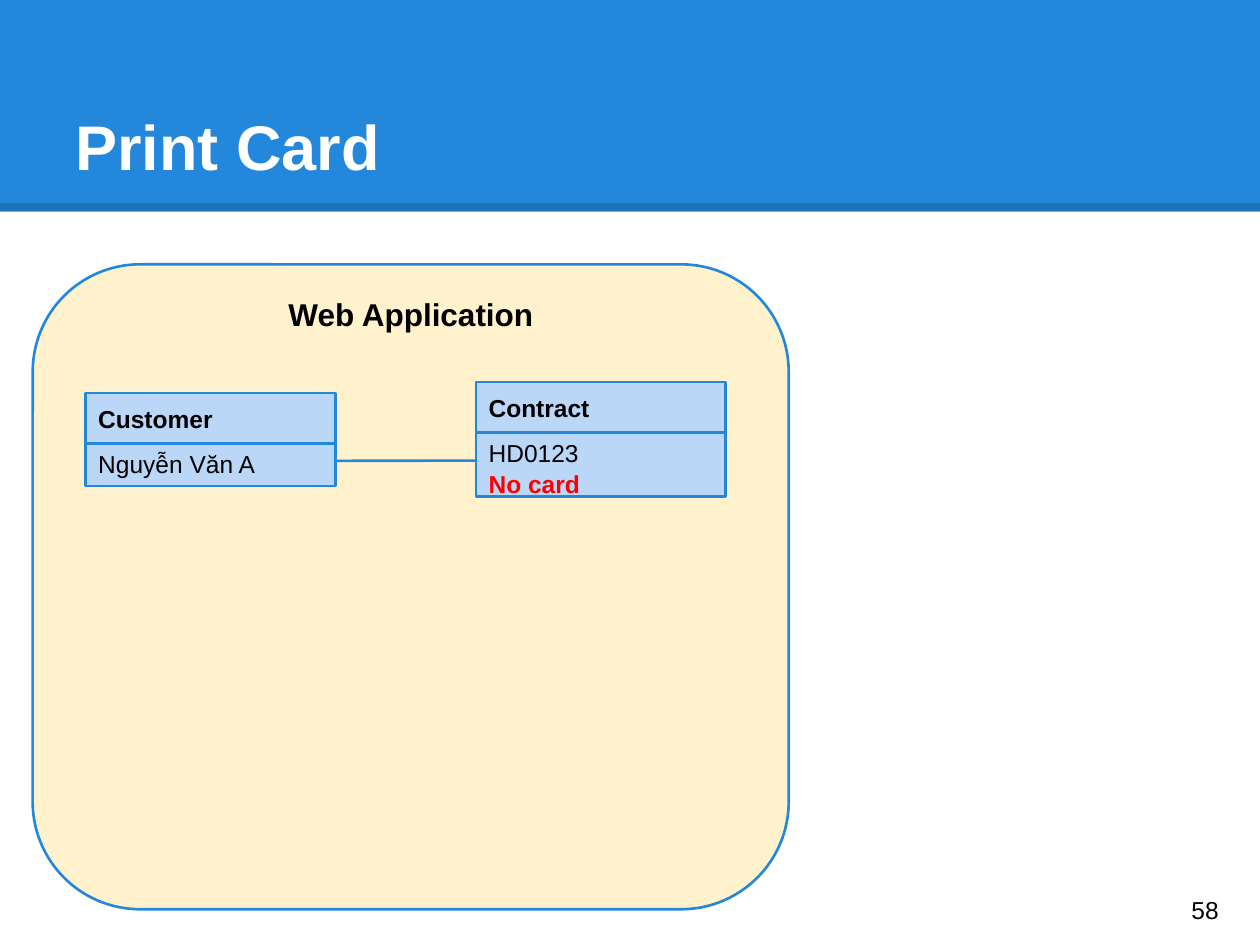
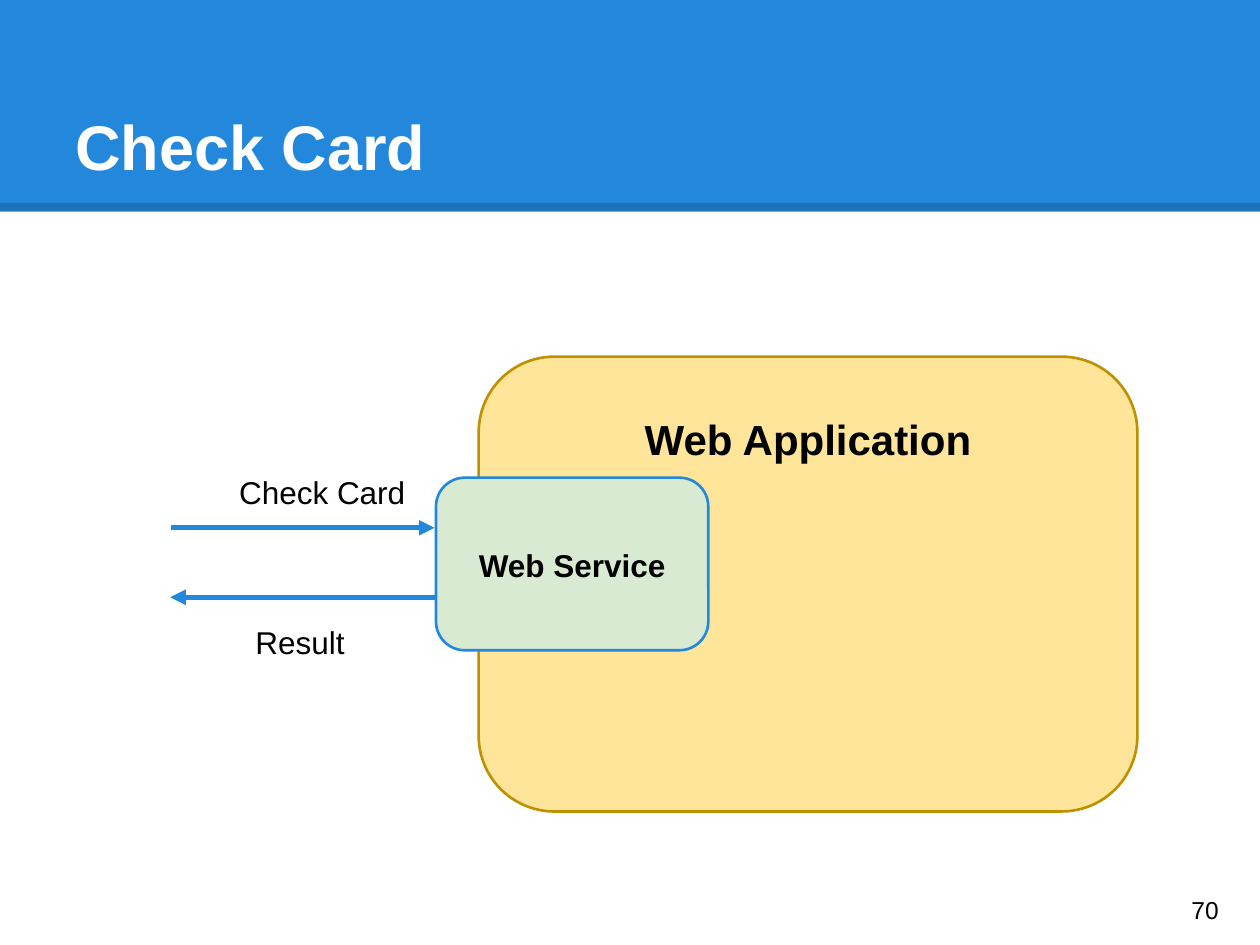
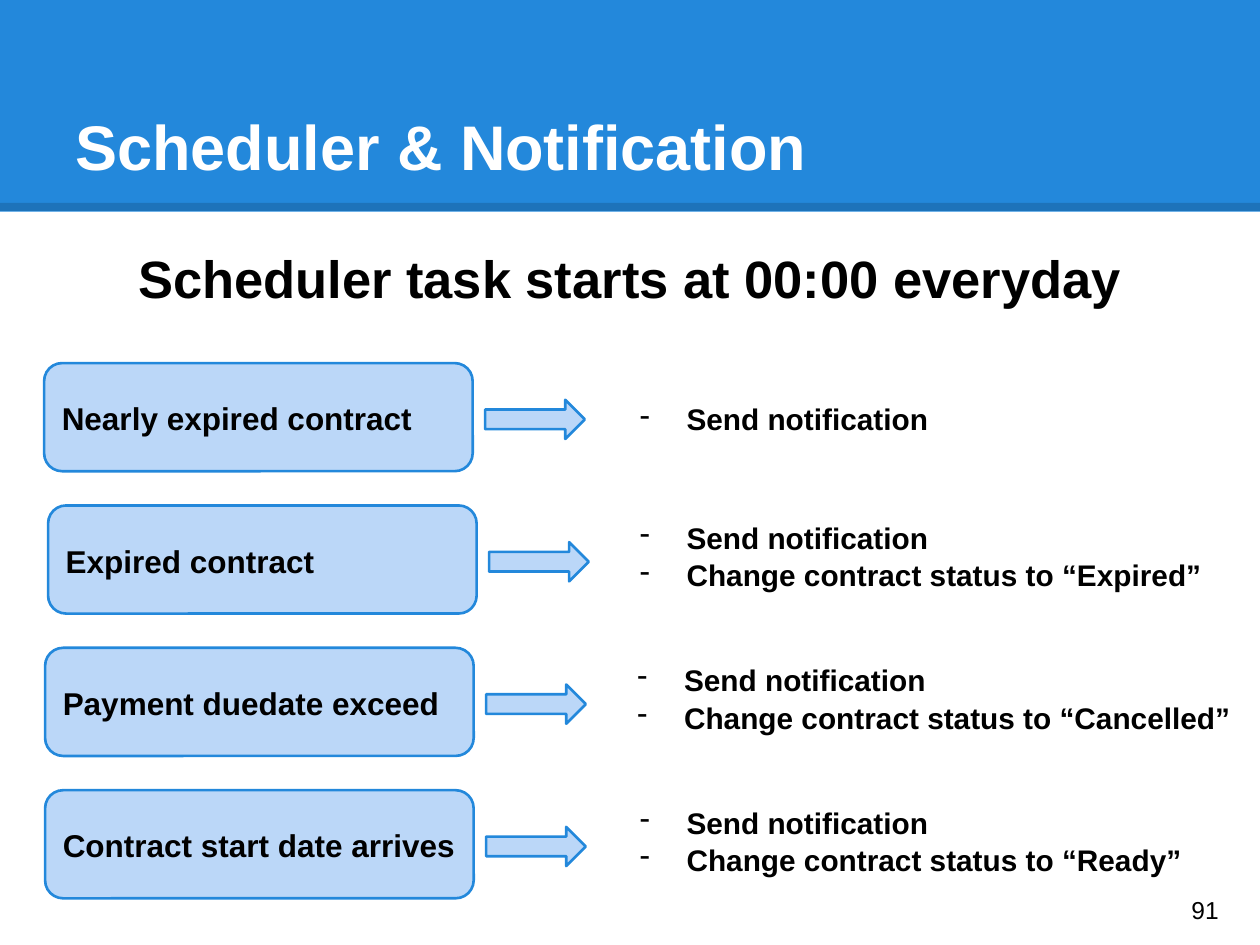
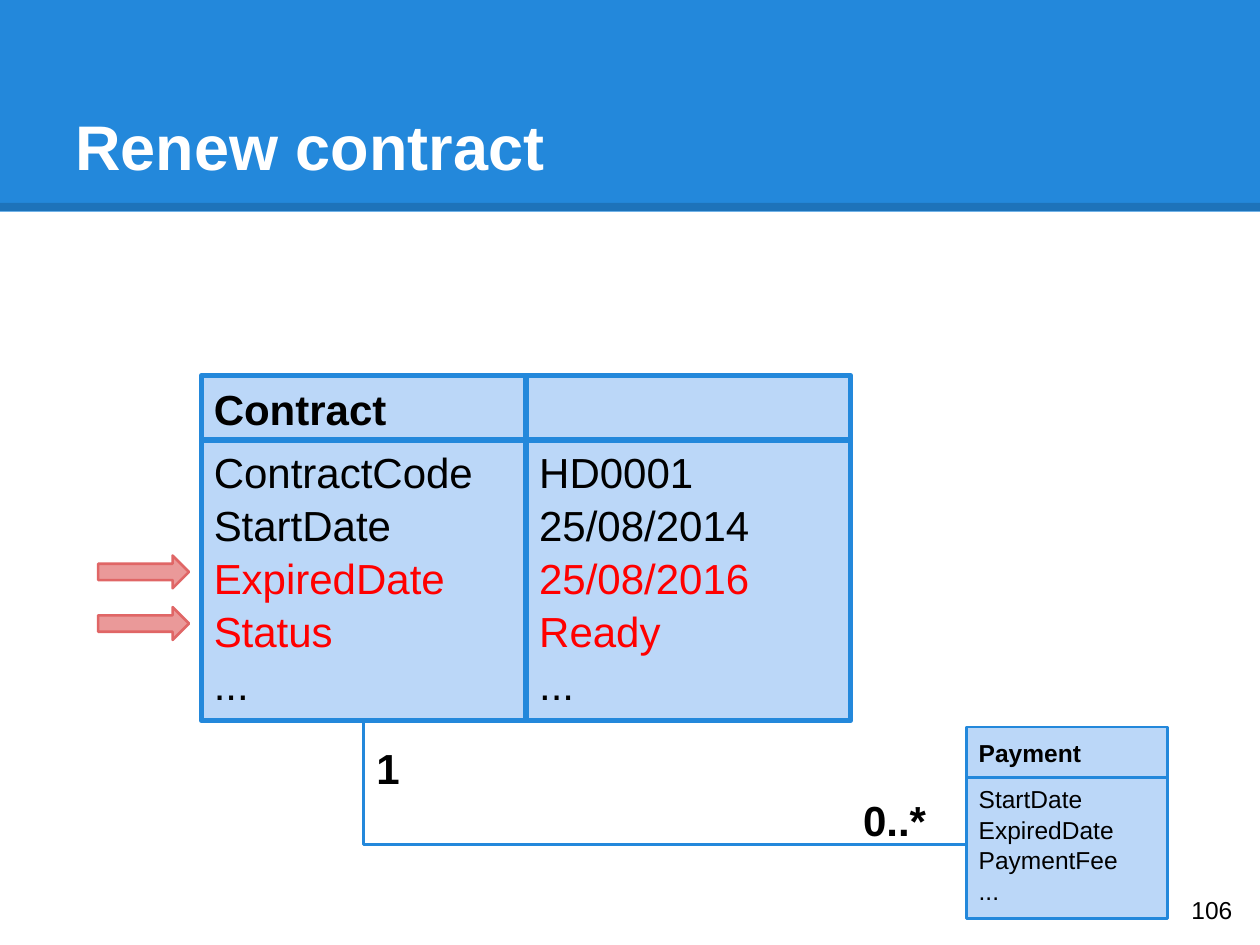
from lxml import etree
from pptx import Presentation
from pptx.dml.color import RGBColor
from pptx.enum.shapes import MSO_CONNECTOR, MSO_SHAPE
from pptx.enum.text import MSO_ANCHOR, MSO_AUTO_SIZE, PP_ALIGN
from pptx.oxml.ns import qn
from pptx.util import Cm, Pt

RECTANGLE, ROUNDED = MSO_SHAPE.RECTANGLE, MSO_SHAPE.ROUNDED_RECTANGLE
RIGHT_ARROW = MSO_SHAPE.RIGHT_ARROW
STRAIGHT, ELBOW = MSO_CONNECTOR.STRAIGHT, MSO_CONNECTOR.ELBOW
TOP, MIDDLE, BOTTOM = MSO_ANCHOR.TOP, MSO_ANCHOR.MIDDLE, MSO_ANCHOR.BOTTOM
LEFT, CENTER = PP_ALIGN.LEFT, PP_ALIGN.CENTER
NO_AUTOFIT = MSO_AUTO_SIZE.NONE
BOTTOM_SIDE, LEFT_SIDE, RIGHT_SIDE = 2, 1, 3

FONT = "Arial"
BLUE, PALE_BLUE = "2388DB", "BBD7F8"
BLACK, WHITE, RED = "000000", "FFFFFF", "FF0000"
CREAM, YELLOW, GOLD = "FFF2CC", "FFE599", "BF9000"
GREEN, PINK, ROSE = "D9EAD3", "EA9999", "E06666"


def color(value):
    return RGBColor.from_string(value)


class Deck:
    """Holds the shared style and the slide being built."""

    def __init__(self):
        self.presentation = Presentation()
        self.presentation.slide_width = Cm(25.4)
        self.presentation.slide_height = Cm(19.05)
        self.slide = None

    def start_slide(self, title, number):
        first = self.slide is None
        layout = self.presentation.slide_layouts[5]
        self.slide = self.presentation.slides.add_slide(layout)
        if first:
            self.add_master_band()
        shape = self.slide.shapes.title
        shape.left, shape.top = Cm(1.27), Cm(0.76)
        shape.width, shape.height = Cm(22.86), Cm(3.18)
        self.set_text(shape, [title], 36, True, WHITE, anchor=BOTTOM)
        self.label(23.77, 17.6, 1.52, 1.45, [str(number)], 14, anchor=MIDDLE)

    def add_master_band(self):
        band = self.shape(RECTANGLE, 0, 0, 25.4, 4.27, BLUE, None)
        edge = self.line(0, 4.17, 25.4, 4.17, 4.5, BLACK)
        edge_color = next(edge.element.iter(qn("a:srgbClr")))
        etree.SubElement(edge_color, qn("a:alpha"), val="15000")
        tree = self.presentation.slide_master.shapes.element
        tree.insert(2, band.element)
        tree.insert(3, edge.element)

    def set_text(self, shape, lines, size, bold=False, text_color=BLACK,
                 align=LEFT, anchor=TOP, bullet=None, inset_top=0.25):
        frame = shape.text_frame
        frame.text = "\n".join(lines)
        frame.word_wrap = True
        frame.auto_size = NO_AUTOFIT
        frame.vertical_anchor = anchor
        frame.margin_left = frame.margin_right = frame.margin_bottom = Cm(0.25)
        frame.margin_top = Cm(inset_top)
        for paragraph in frame.paragraphs:
            if bullet:
                properties = paragraph._p.get_or_add_pPr()
                properties.set("marL", str(Cm(1.27)))
                properties.set("indent", str(Cm(-0.94)))
                etree.SubElement(properties, qn("a:buChar"), char=bullet)
            paragraph.alignment = align
            paragraph.line_spacing = 1.05
            for run in paragraph.runs:
                run.font.name = FONT
                run.font.size = Pt(size)
                run.font.bold = bold
                run.font.color.rgb = color(text_color)

    def label(self, left, top, width, height, lines, size, bold=False, **layout):
        shape = self.slide.shapes.add_textbox(Cm(left), Cm(top), Cm(width), Cm(height))
        self.set_text(shape, lines, size, bold, **layout)

    def shape(self, kind, left, top, width, height, fill=PALE_BLUE, outline=BLUE, weight=1.5):
        shape = self.slide.shapes.add_shape(kind, Cm(left), Cm(top), Cm(width), Cm(height))
        shape.shadow.inherit = False
        shape.fill.solid()
        shape.fill.fore_color.rgb = color(fill)
        if outline:
            shape.line.color.rgb = color(outline)
            shape.line.width = Pt(weight)
        else:
            shape.line.fill.background()
        return shape

    def style_line(self, connector, weight, line_color=BLUE, arrow=False):
        connector.line.color.rgb = color(line_color)
        connector.line.width = Pt(weight)
        if arrow:
            outline = connector.element.spPr.find(qn("a:ln"))
            etree.SubElement(outline, qn("a:tailEnd"), type="triangle")
        etree.SubElement(connector.element.spPr, qn("a:effectLst"))
        return connector

    def line(self, x1, y1, x2, y2, weight, line_color=BLUE, arrow=False):
        connector = self.slide.shapes.add_connector(STRAIGHT, Cm(x1), Cm(y1), Cm(x2), Cm(y2))
        return self.style_line(connector, weight, line_color, arrow)

    def join(self, start, start_side, end, end_side, kind=STRAIGHT):
        connector = self.slide.shapes.add_connector(kind, 0, 0, 0, 0)
        connector.begin_connect(start, start_side)
        connector.end_connect(end, end_side)
        if kind == ELBOW:
            connector.element.spPr.find(qn("a:prstGeom")).set("prst", "bentConnector2")
        self.style_line(connector, 1.5)

    def card(self, left, top, width, body_height, name, lines, size=14,
             header_height=1.02, weight=1.5, red=(), red_bold=False):
        body_top = top + header_height - 0.16
        body = self.shape(RECTANGLE, left, body_top, width, body_height, weight=weight)
        self.set_text(body, lines, size)
        for paragraph in body.text_frame.paragraphs:
            if paragraph.text in red:
                for run in paragraph.runs:
                    run.font.color.rgb = color(RED)
                    run.font.bold = red_bold
        header = self.shape(RECTANGLE, left, top, width, header_height, weight=weight)
        self.set_text(header, [name], size, True, anchor=MIDDLE)
        self.slide.shapes.add_group_shape([body, header])
        return body


def build_print_card(deck):
    deck.start_slide("Print Card", 58)
    deck.shape(ROUNDED, 0.66, 5.33, 15.24, 13, CREAM)
    customer = deck.card(1.73, 7.92, 5.03, 1.02, "Customer", ["Nguyễn Văn A"])
    contract = deck.card(9.6, 7.7, 5.03, 1.45, "Contract", ["HD0123", "No card"],
                         red=["No card"], red_bold=True)
    deck.join(customer, RIGHT_SIDE, contract, LEFT_SIDE)
    deck.label(5.26, 5.66, 6.05, 0.99, ["Web Application"], 18, True, align=CENTER)


def build_check_card(deck):
    deck.start_slide("Check Card", 70)
    application = deck.shape(ROUNDED, 9.65, 7.19, 13.28, 9.17, YELLOW, GOLD)
    deck.set_text(application, ["Web Application"], 24, True, align=CENTER, inset_top=0.65)
    service = deck.shape(ROUNDED, 8.79, 9.63, 5.49, 3.48, GREEN)
    deck.set_text(service, ["Web Service"], 18, True, align=CENTER, anchor=MIDDLE)
    deck.line(3.45, 10.64, 8.76, 10.64, 3, arrow=True)
    deck.line(8.79, 12.04, 3.43, 12.04, 3, arrow=True)
    deck.label(4.57, 9.25, 4.11, 1.09, ["Check Card"], 18)
    deck.label(4.9, 12.27, 2.74, 1.09, ["Result"], 18)


def build_scheduler(deck):
    deck.start_slide("Scheduler & Notification", 91)
    deck.label(1.27, 4.65, 22.86, 1.98, ["Scheduler task starts at 00:00 everyday"],
               30, True, align=CENTER)
    events = [
        ("Nearly expired contract", None, 0.89, 12.32),
        ("Expired contract", "Expired", 0.97, 12.32),
        ("Payment duedate exceed", "Cancelled", 0.91, 12.27),
        ("Contract start date arrives", "Ready", 0.91, 12.32),
    ]
    for row, (event, status, left, actions_left) in enumerate(events):
        top = 7.32 + 2.87 * row
        box = deck.shape(ROUNDED, left, top, 8.64, 2.18)
        deck.set_text(box, [event], 18, True, anchor=MIDDLE)
        deck.shape(RIGHT_ARROW, left + 8.89, top + 0.74, 2.01, 0.79)
        actions = ["Send notification"]
        if status:
            actions.append(f"Change contract status to “{status}”")
        actions_top, height = (top, 2.92) if status else (top + 0.48, 1.45)
        deck.label(actions_left, actions_top, 13.08, height, actions, 17, True, bullet="-")


def build_renew_contract(deck):
    deck.start_slide("Renew contract", 106)
    large = {"size": 24, "header_height": 1.3, "weight": 3}
    contract = deck.card(4.06, 7.57, 6.53, 5.82, "Contract",
                         ["ContractCode", "StartDate", "ExpiredDate", "Status", "..."],
                         red=["ExpiredDate", "Status"], **large)
    deck.card(10.62, 7.57, 6.53, 5.82, "",
              ["HD0001", "25/08/2014", "25/08/2016", "Ready", "..."],
              red=["25/08/2016", "Ready"], **large)
    for top in (11.2, 12.24):
        deck.shape(RIGHT_ARROW, 1.98, top, 1.83, 0.66, PINK, ROSE)
    payment = deck.card(19.48, 14.66, 4.06, 3, "Payment",
                        ["StartDate", "ExpiredDate", "PaymentFee", "..."])
    deck.join(payment, LEFT_SIDE, contract, BOTTOM_SIDE, ELBOW)
    deck.label(17.15, 15.72, 2.26, 1.3, ["0..*"], 24, True)
    deck.label(7.34, 14.66, 2.26, 1.3, ["1"], 24, True)


def main():
    deck = Deck()
    build_print_card(deck)
    build_check_card(deck)
    build_scheduler(deck)
    build_renew_contract(deck)
    deck.presentation.save("out.pptx")


if __name__ == "__main__":
    main()
